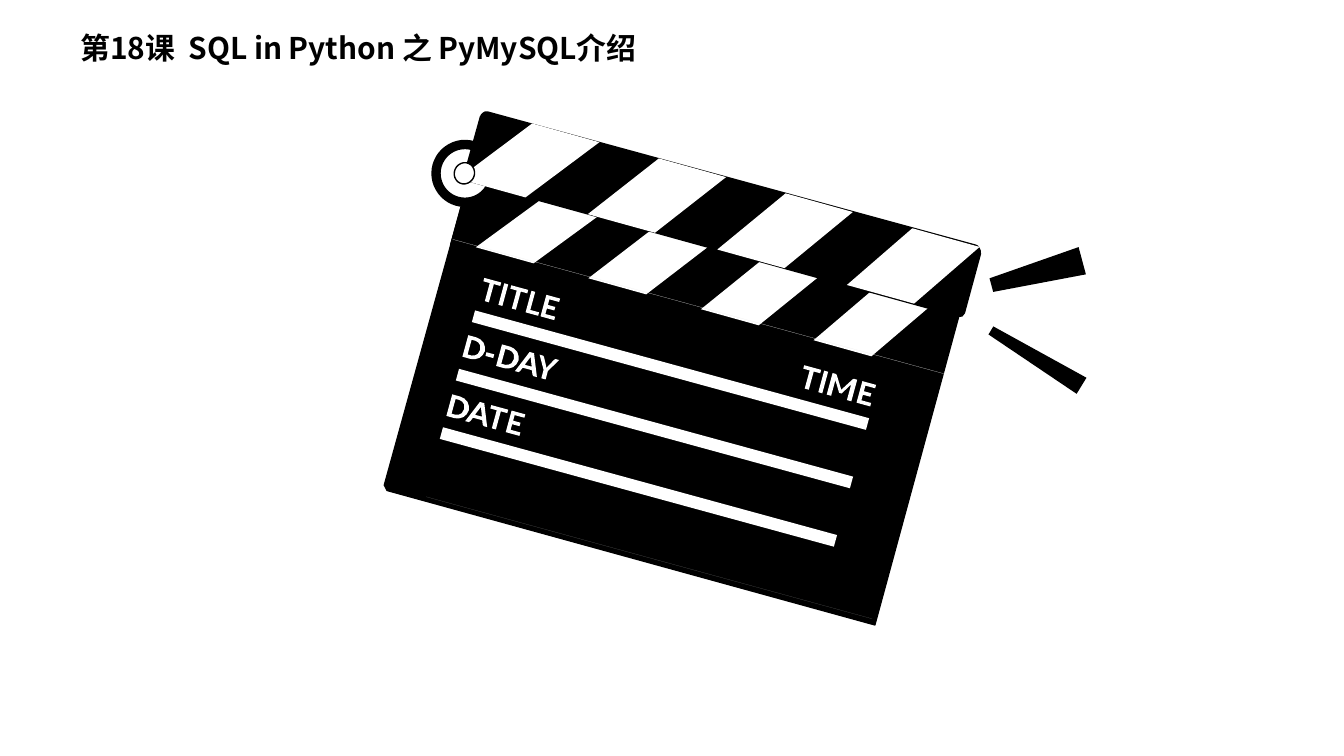
import math
from dataclasses import dataclass

import pptx
import pptx.dml.color
import pptx.enum.shapes
import pptx.oxml
import pptx.oxml.ns
import pptx.util

Pt = pptx.util.Pt
Shapes = pptx.enum.shapes.MSO_SHAPE
Point = tuple[float, float]
Contour = list[Point]


@dataclass(frozen=True)
class Theme:
    black: str = "000000"
    white: str = "FFFFFF"
    gray: str = "565757"
    pale: str = "ECECEC"
    font: str = "Noto Sans CJK SC"
    title_size: float = 16
    tilt: float = 15.3
    clapper_tilt: float = 23.2


@dataclass(frozen=True)
class Frame:
    left: float
    top: float
    width: float
    height: float


@dataclass(frozen=True)
class Glyph:
    """Outline in percent of a letter box."""
    width: float
    contours: list[Contour]


@dataclass(frozen=True)
class Word:
    """Letters with their centre distances along the tilted baseline."""
    letters: str
    center: Point
    offsets: list[float]


@dataclass(frozen=True)
class StripeRow:
    """Four slanted stripes; each bottom and top corner moves by its own step."""
    bottom: Point
    bottom_step: Point
    top: Point
    top_step: Point
    edge: Point
    angle: float


THEME = Theme()
LETTER_HEIGHT = 12
GLYPHS = {
    "T": Glyph(9.4, [[(0, 0), (100, 0), (100, 16), (62, 16), (62, 100), (38, 100), (38, 16), (0, 16)]]),
    "I": Glyph(2.2, [[(0, 0), (100, 0), (100, 100), (0, 100)]]),
    "L": Glyph(7, [[(0, 0), (30, 0), (30, 84), (100, 84), (100, 100), (0, 100)]]),
    "E": Glyph(7.6, [[(0, 0), (100, 0), (100, 16), (29, 16), (29, 42), (83, 42), (83, 58),
                      (29, 58), (29, 84), (100, 84), (100, 100), (0, 100)]]),
    "-": Glyph(4.3, [[(0, 52), (100, 52), (100, 69), (0, 69)]]),
    "D": Glyph(10.8, [[(0, 0), (42, 0), (63, 4), (83, 15), (95, 31), (100, 50), (95, 69),
                       (83, 85), (63, 96), (42, 100), (0, 100)],
                      [(22, 16), (42, 16), (58, 20), (70, 30), (76, 50), (70, 70),
                       (58, 80), (42, 84), (22, 84)]]),
    "A": Glyph(12.2, [[(0, 100), (40, 0), (60, 0), (100, 100), (84, 100), (78, 94), (71, 76),
                       (29, 76), (22, 94), (16, 100)],
                      [(34, 61), (66, 61), (50, 20)]]),
    "Y": Glyph(10.8, [[(0, 0), (18, 0), (24, 5), (46, 42), (50, 51), (54, 42), (76, 5), (82, 0),
                       (100, 0), (61, 61), (61, 100), (39, 100), (39, 61)]]),
    "M": Glyph(13.7, [[(0, 0), (14, 0), (18, 4), (50, 62), (82, 4), (86, 0), (100, 0), (100, 100),
                       (82, 100), (82, 27), (55, 78), (45, 78), (18, 27), (18, 100), (0, 100)]]),
}
WORDS = [
    Word("TITLE", (262.4, 155.9), [0, 7.5, 15, 25, 33.6]),
    Word("D-DAY", (254.5, 186.8), [0, 8.6, 18.7, 29.9, 39.6]),
    Word("DATE", (245.9, 218.5), [0, 11.2, 21, 31.4]),
    Word("TIME", (433.8, 202.7), [0, 7.5, 17.9, 31.4]),
]
BOARD = [(207.4, 262.8), (468.7, 334.8), (514.1, 167.8), (251.3, 95.8), (205.9, 259.9)]
CLAPPER = [(251.3, 94.3), (514.1, 167), (522.7, 135.4), (522, 133.9), (260.6, 62.6), (259.9, 63.4)]
LOWER_STRIPES = StripeRow((254.9, 132.5), (60.3, 16.6), (289.4, 107.3), (59, 16.3),
                          (31, 8.6), THEME.tilt)
UPPER_STRIPES = StripeRow((245.5, 95.8), (69.4, 18.96), (285.1, 66.2), (67.9, 18.7),
                          (36, 10), THEME.clapper_tilt)


def rotate(point: Point, degrees: float) -> Point:
    angle = math.radians(degrees)
    x, y = point
    return (x * math.cos(angle) - y * math.sin(angle), x * math.sin(angle) + y * math.cos(angle))


def paint(shape, fill: str, line: float = 0) -> None:
    shape.shadow.inherit = False
    shape.fill.solid()
    shape.fill.fore_color.rgb = pptx.dml.color.RGBColor.from_string(fill)
    if not line:
        shape.line.fill.background()
        return
    shape.line.color.rgb = pptx.dml.color.RGBColor.from_string(THEME.black)
    shape.line.width = Pt(line)
    shape.line._get_or_add_ln().append(
        pptx.oxml.parse_xml(f'<a:round {pptx.oxml.ns.nsdecls("a")}/>'))


def add_preset(slide, kind, frame: Frame, fill: str, angle: float, line: float = 0):
    shape = slide.shapes.add_shape(kind, Pt(frame.left), Pt(frame.top),
                                   Pt(frame.width), Pt(frame.height))
    shape.rotation = angle
    paint(shape, fill, line)
    return shape


def add_outline(slide, contours: list[Contour], fill: str, angle: float, line: float = 0) -> None:
    """Draw contours given as seen on the slide, in a frame turned by angle."""
    level = [[rotate(point, -angle) for point in contour] for contour in contours]
    xs, ys = zip(*(point for contour in level for point in contour))
    middle = ((min(xs) + max(xs)) / 2, (min(ys) + max(ys)) / 2)
    center = rotate(middle, angle)
    shift = (center[0] - middle[0], center[1] - middle[1])
    moved = [[(Pt(x + shift[0]), Pt(y + shift[1])) for x, y in contour] for contour in level]
    builder = slide.shapes.build_freeform(*moved[0][0])
    for index, contour in enumerate(moved):
        if index:
            builder.move_to(*contour[0])
        builder.add_line_segments(contour[1:], close=True)
    shape = builder.convert_to_shape()
    shape.rotation = angle
    paint(shape, fill, line)


def add_stripes(slide, row: StripeRow) -> None:
    for index in range(4):
        (left, low), (right, high) = (
            (start[0] + index * step[0], start[1] + index * step[1])
            for start, step in ((row.bottom, row.bottom_step), (row.top, row.top_step)))
        width, drop = row.edge
        stripe = [(left + width, low + drop), (left, low), (right, high), (right + width, high + drop)]
        add_outline(slide, [stripe], THEME.white, row.angle)


def add_word(slide, word: Word) -> None:
    for letter, offset in zip(word.letters, word.offsets):
        glyph = GLYPHS[letter]
        contours = []
        for contour in glyph.contours:
            turned = [rotate((offset + (x - 50) / 100 * glyph.width,
                              (y - 50) / 100 * LETTER_HEIGHT), THEME.tilt) for x, y in contour]
            contours.append([(word.center[0] + x, word.center[1] + y) for x, y in turned])
        add_outline(slide, contours, THEME.white, THEME.tilt)


def add_text(slide, text: str, frame: Frame, *, size: float, color: str, bold: bool,
             line_spacing: float) -> None:
    box = slide.shapes.add_textbox(Pt(frame.left), Pt(frame.top), Pt(frame.width), Pt(frame.height))
    box.text_frame.word_wrap = True
    paragraph = box.text_frame.paragraphs[0]
    paragraph.line_spacing = line_spacing
    run = paragraph.add_run()
    run.text = text
    run.font.name, run.font.size, run.font.bold = THEME.font, Pt(size), bold
    run.font.color.rgb = pptx.dml.color.RGBColor.from_string(color)
    run._r.get_or_add_rPr().append(pptx.oxml.parse_xml(
        f'<a:ea {pptx.oxml.ns.nsdecls("a")} typeface="{THEME.font}"/>'))


def main() -> None:
    presentation = pptx.Presentation()
    presentation.slide_width, presentation.slide_height = Pt(720), Pt(405)
    slide = presentation.slides.add_slide(presentation.slide_layouts[6])

    add_outline(slide, [BOARD], THEME.black, THEME.tilt, line=0.75)
    add_preset(slide, Shapes.RECTANGLE, Frame(223.9, 298.8, 247.7, 0.1), THEME.gray, THEME.tilt)
    add_preset(slide, Shapes.RECTANGLE, Frame(241.2, 130.3, 272.9, 37.4), THEME.black, THEME.tilt)
    add_stripes(slide, LOWER_STRIPES)
    add_preset(slide, Shapes.RECTANGLE, Frame(237.6, 164.2, 272.9, 0.1), THEME.pale, THEME.tilt)
    for row in range(3):
        rule = Frame(249.8 - 8.6 * row, 195.1 + 31.3 * row, 218.9, 6.5)
        add_preset(slide, Shapes.RECTANGLE, rule, THEME.white, THEME.tilt)
    for word in WORDS:
        add_word(slide, word)

    add_preset(slide, Shapes.OVAL, Frame(233.3, 77.8, 31, 31), THEME.white, THEME.clapper_tilt)
    ring = add_preset(slide, Shapes.DONUT, Frame(231.1, 74.9, 36, 36), THEME.black, THEME.clapper_tilt)
    ring.adjustments[0] = 0.14
    add_outline(slide, [CLAPPER], THEME.black, THEME.clapper_tilt, line=6)
    add_stripes(slide, UPPER_STRIPES)
    add_preset(slide, Shapes.OVAL, Frame(243.4, 87.1, 10.8, 11.5), THEME.white,
               THEME.clapper_tilt, line=0.75)

    add_preset(slide, Shapes.TRAPEZOID, Frame(547.9, 121, 15.1, 50.4), THEME.black, 255)
    add_preset(slide, Shapes.TRAPEZOID, Frame(550.1, 163.4, 10.1, 56.9), THEME.black, 301.4)
    add_text(slide, "第18课  SQL in Python 之 PyMySQL介绍", Frame(36, 15.8, 326.9, 26.6),
             size=THEME.title_size, color=THEME.black, bold=True, line_spacing=0.83)
    presentation.save("out.pptx")


if __name__ == "__main__":
    main()
